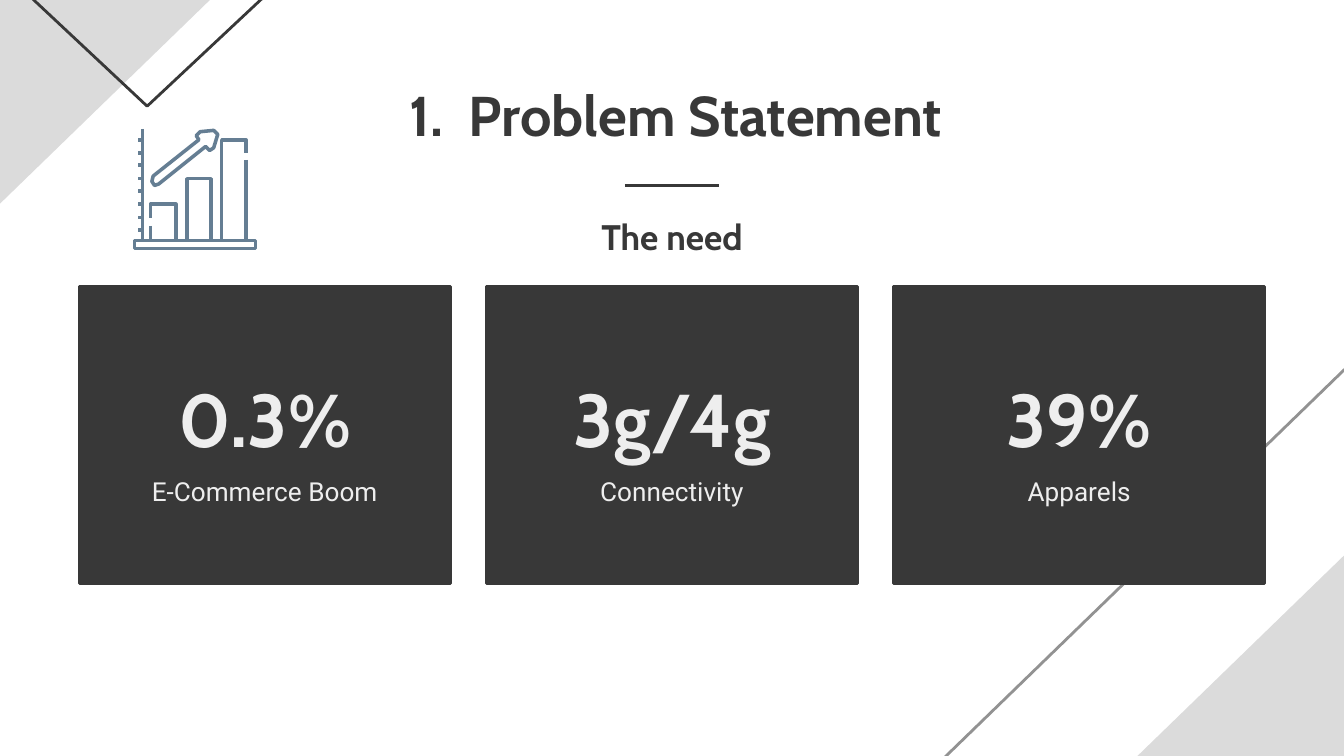
"""Build the problem statement slide with three key figures."""
from dataclasses import dataclass

from lxml import etree
from pptx import Presentation
from pptx import util as u
from pptx.dml import color
from pptx.enum import shapes, text
from pptx.oxml import ns


@dataclass(frozen=True)
class Theme:
    dark: str = "383838"
    light: str = "EEEEEE"
    pale: str = "DBDBDB"
    gray: str = "929292"
    icon: str = "657E93"
    heading_font: str = "Cabin"
    body_font: str = "Roboto"
    title_size: int = 30
    subtitle_size: int = 19
    figure_size: int = 40
    label_size: int = 14
    line_width: float = 1.5
    icon_width: float = 1.9


THEME = Theme()
CARDS = [("0.3%", "E-Commerce Boom"), ("3g/4g", "Connectivity"), ("39%", "Apparels")]
CARD_CENTER = 5
CARD_PITCH = 3.03

ICON_UNIT = 0.01
AXIS = [[(106, 96), (106, 178)]]
TICKS = [[(103, 104 + 9.6 * i), (106, 104 + 9.6 * i)] for i in range(8)]
BASE = [[(100, 179), (190, 179), (190, 185), (100, 185), (100, 179)]]
BARS = [
    [(112, 162), (112, 152), (131, 152), (131, 178)],
    [(112, 168), (112, 178)],
    [(139, 178), (139, 133), (157, 133), (157, 178)],
    [(165, 178), (165, 104), (183, 104), (183, 114)],
    [(183, 119), (183, 178)],
]
ARROW = [[(114, 131), (148, 104), (146, 101), (149, 98), (159, 97), (162, 100),
          (159, 110), (156, 112), (153, 109), (118, 137), (115, 138), (113, 135),
          (114, 131)]]


def rgb(value):
    """Return the colour object for a hex value."""
    return color.RGBColor.from_string(value)


def apply(target, values):
    """Set each attribute named in a dict on the target."""
    for name, value in values.items():
        setattr(target, name, value)


def style(shape, fill=None, line=None, width=THEME.line_width):
    """Give a shape its fill and line without a shadow."""
    shape.shadow.inherit = False
    if fill:
        shape.fill.solid()
        shape.fill.fore_color.rgb = rgb(fill)
    else:
        shape.fill.background()
    if line:
        shape.line.color.rgb = rgb(line)
        shape.line.width = u.Pt(width)
    else:
        shape.line.fill.background()


def add_block(slide, kind, box, flip=False, rotation=0, **look):
    """Add a preset shape, mirrored or rotated if asked."""
    shape = slide.shapes.add_shape(kind, *map(u.Inches, box))
    shape.rotation = rotation
    if flip:
        shape._element.spPr.find(ns.qn("a:xfrm")).set("flipH", "1")
    style(shape, **look)


def add_rule(slide, start, end):
    """Add a plain straight line."""
    rule = slide.shapes.add_connector(
        shapes.MSO_CONNECTOR.STRAIGHT, *map(u.Inches, start + end))
    rule.line.color.rgb = rgb(THEME.dark)
    rule.line.width = u.Pt(THEME.line_width)
    etree.SubElement(rule._element.spPr, ns.qn("a:effectLst"))


def add_icon(slide, strokes):
    """Draw the given strokes as one outline."""
    first, *others = strokes
    builder = slide.shapes.build_freeform(*first[0], scale=u.Inches(ICON_UNIT))
    builder.add_line_segments(first[1:], close=False)
    for stroke in others:
        builder.move_to(*stroke[0])
        builder.add_line_segments(stroke[1:], close=False)
    style(builder.convert_to_shape(), line=THEME.icon, width=THEME.icon_width)


def set_bullet(paragraph, margin, indent, numbered):
    """Set the indents and either a number or no bullet."""
    properties = paragraph._p.get_or_add_pPr()
    properties.set("marL", str(u.Inches(margin)))
    properties.set("indent", str(u.Inches(indent)))
    if numbered:
        bullet_color = etree.SubElement(properties, ns.qn("a:buClr"))
        etree.SubElement(bullet_color, ns.qn("a:srgbClr"), val=THEME.dark)
        etree.SubElement(properties, ns.qn("a:buFont"), typeface=THEME.heading_font)
        etree.SubElement(properties, ns.qn("a:buAutoNum"), type="arabicPeriod")
    else:
        etree.SubElement(properties, ns.qn("a:buNone"))


def write(slide, shape, box, words, size, ink, font=THEME.heading_font, bold=True,
          anchor=text.MSO_ANCHOR.TOP, margin=0, indent=0, numbered=False):
    """Place a text shape in front and format its single centred line."""
    slide.shapes._spTree.append(shape._element)
    apply(shape, dict(zip(("left", "top", "width", "height"), map(u.Inches, box))))
    frame = shape.text_frame
    frame.text = words
    inset = u.Inches(0.1)
    apply(frame, {"word_wrap": True, "auto_size": text.MSO_AUTO_SIZE.NONE,
                  "vertical_anchor": anchor, "margin_left": inset,
                  "margin_right": inset, "margin_top": inset, "margin_bottom": inset})
    paragraph = frame.paragraphs[0]
    apply(paragraph, {"alignment": text.PP_ALIGN.CENTER, "space_before": u.Pt(0)})
    set_bullet(paragraph, margin, indent, numbered)
    run = paragraph.runs[0]
    apply(run.font, {"name": font, "size": u.Pt(size), "bold": bold})
    run.font.color.rgb = rgb(ink)


def add_corners(slide):
    """Draw the triangles and lines in the slide corners."""
    right, isosceles = shapes.MSO_SHAPE.RIGHT_TRIANGLE, shapes.MSO_SHAPE.ISOSCELES_TRIANGLE
    add_block(slide, right, (4.88, -1.03, 9.02, 8.75), flip=True, line=THEME.gray)
    add_block(slide, right, (7.84, 2.62, 3.72, 3.61), flip=True, fill=THEME.pale)
    add_block(slide, right, (-0.83, -1.29, 3.72, 3.61), flip=True, rotation=180,
              fill=THEME.pale)
    add_block(slide, isosceles, (-1.84, -1.96, 5.87, 2.75), rotation=180, line=THEME.dark)


def add_card(slide, center, figure, label, label_shape):
    """Add a dark card with its large figure and label."""
    add_block(slide, shapes.MSO_SHAPE.RECTANGLE, (center - 1.38, 2.13, 2.76, 2.21),
              fill=THEME.dark, line=THEME.dark)
    figure_box = (center - 1.32, 2.7, 2.64, 0.82)
    figure_shape = slide.shapes.add_textbox(*map(u.Inches, figure_box))
    write(slide, figure_shape, figure_box, figure, THEME.figure_size, THEME.light,
          anchor=text.MSO_ANCHOR.MIDDLE)
    write(slide, label_shape, (center - 1.25, 3.44, 2.5, 0.82), label,
          THEME.label_size, THEME.light, font=THEME.body_font, bold=False)


def main():
    """Build and save the presentation."""
    presentation = Presentation()
    width = u.Inches(10)
    apply(presentation, {"slide_width": width, "slide_height": width * 9 // 16})
    slide = presentation.slides.add_slide(
        presentation.slide_layouts.get_by_name("Comparison"))
    title, subtitle, *labels = slide.placeholders
    add_corners(slide)
    for index, ((figure, label), label_shape) in enumerate(zip(CARDS, labels)):
        center = CARD_CENTER + (index - 1) * CARD_PITCH
        add_card(slide, center, figure, label, label_shape)
    write(slide, title, (2.16, 0.5, 5.68, 0.58), "Problem Statement",
          THEME.title_size, THEME.dark, margin=0.5, indent=-0.44, numbered=True)
    add_rule(slide, (4.65, 1.38), (5.35, 1.38))
    write(slide, subtitle, (1.91, 1.5, 5.68, 0.58), "The need",
          THEME.subtitle_size, THEME.dark, margin=0.5)
    add_icon(slide, ARROW)
    add_icon(slide, AXIS + TICKS + BASE + BARS)
    presentation.save("out.pptx")


if __name__ == "__main__":
    main()
